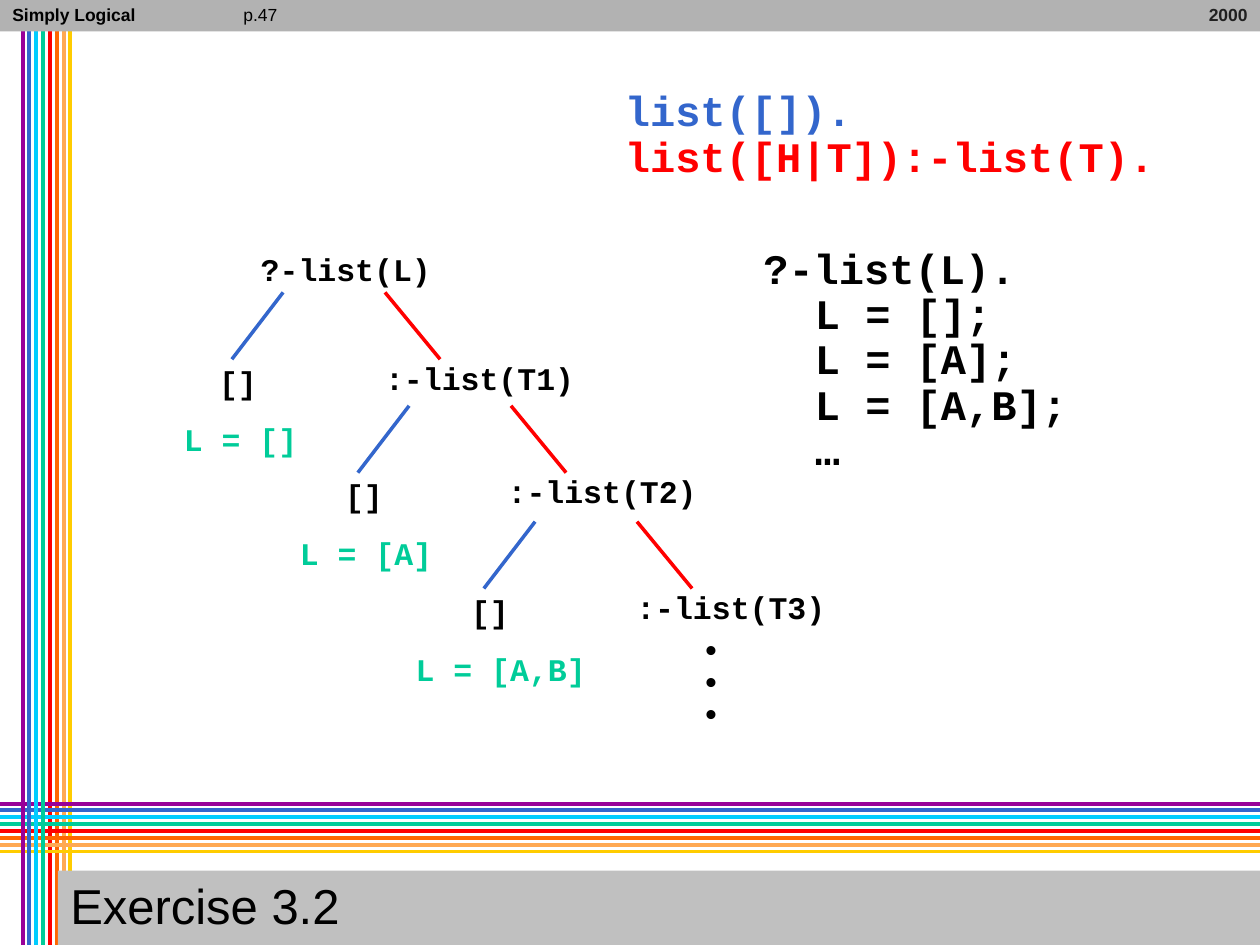
from lxml import etree
from pptx import Presentation
from pptx import util as u
from pptx.dml.color import RGBColor
from pptx.enum import shapes, text
from pptx.oxml.ns import qn

Pt = u.Pt
BLACK = RGBColor(0x00, 0x00, 0x00)
DARK = RGBColor(0x20, 0x20, 0x20)
GREY = RGBColor(0xB2, 0xB2, 0xB2)
SILVER = RGBColor(0xC0, 0xC0, 0xC0)
BLUE = RGBColor(0x33, 0x66, 0xCC)
GREEN = RGBColor(0x00, 0xCC, 0x99)
RED = RGBColor(0xFF, 0x00, 0x00)
BANDS = [RGBColor(0x99, 0x00, 0x99), BLUE, RGBColor(0x00, 0xCC, 0xFF), GREEN,
         RED, RGBColor(0xFF, 0x66, 0x00), RGBColor(0xFF, 0xA9, 0x53),
         RGBColor(0xFF, 0xCC, 0x00)]
GAP = 3.91

SMALL = {"name": "Arial", "size": Pt(10), "bold": False}
HEAD = SMALL | {"bold": True}
TITLE = SMALL | {"size": Pt(28)}
NODE = {"name": "Courier New", "size": Pt(18), "bold": True}
CODE = NODE | {"size": Pt(24)}


def write(frame, lines, style, align=text.PP_ALIGN.LEFT, hang=0):
    """Fill a text frame with (words, colour) paragraphs."""
    for i, (words, color) in enumerate(lines):
        para = frame.add_paragraph() if i else frame.paragraphs[0]
        para.text = words
        para.alignment = align
        para.line_spacing = 0.9
        if hang:
            props = para._p.get_or_add_pPr()
            props.set("marL", str(Pt(hang)))
            props.set("indent", str(Pt(-hang)))
        for run in para.runs:
            for key, value in style.items():
                setattr(run.font, key, value)
            run.font.color.rgb = color


def label(slide, box, lines, style, wrap=True, **more):
    frame = slide.shapes.add_textbox(*map(Pt, box)).text_frame
    frame.word_wrap = wrap
    write(frame, lines, style, **more)


def node(slide, x, y, words, color=BLACK):
    """Place a one-line tree label, sized by its character count."""
    box = (x, y, 10.8 * len(words) + 14.4, 26.6)
    label(slide, box, [(words, color)], NODE, wrap=False)


def line(slide, ends, color, width):
    link = slide.shapes.add_connector(shapes.MSO_CONNECTOR.STRAIGHT,
                                      *map(Pt, ends))
    link.line.color.rgb = color
    link.line.width = Pt(width)
    etree.SubElement(link._element.spPr, qn("a:effectLst"))


def bar(slide, box, color):
    rect = slide.shapes.add_shape(shapes.MSO_SHAPE.RECTANGLE, *map(Pt, box))
    rect.shadow.inherit = False
    rect.fill.solid()
    rect.fill.fore_color.rgb = color
    rect.line.fill.background()
    return rect


def weave(slide, box):
    """Cross the bands: half the uprights lie below the rows, half above."""
    left, top, wide, high = box

    def posts(part):
        for i in part:
            x = left + i * GAP
            line(slide, (x, 0, x, high), BANDS[i], 2.25)

    posts(range(4, 8))
    for i, color in enumerate(BANDS):
        y = top + i * GAP
        line(slide, (wide, y, 0, y), color, 2.25)
    posts(range(4))


def header(slide, box):
    x, y, wide, high = box
    bar(slide, box, GREY)
    label(slide, (x, y, 144, high), [("Simply Logical", BLACK)], HEAD)
    label(slide, (x + 132, y, 54.5, high), [("p.47", BLACK)], SMALL)
    label(slide, (x + wide - 194.4, y, 194.4, high), [("2000", DARK)], HEAD,
          align=text.PP_ALIGN.RIGHT)


def footer(slide, box):
    frame = bar(slide, box, SILVER).text_frame
    frame.word_wrap = True
    frame.vertical_anchor = text.MSO_ANCHOR.MIDDLE
    write(frame, [("Exercise 3.2", BLACK)], TITLE)


def level(slide, box, goal, shift, answer):
    """Draw one split: empty list on the left, next goal on the right."""
    x, y, wide, high = box
    line(slide, (x, y + high, x + 29.3, y), BLUE, 2)
    line(slide, (x + wide, y + high, x + wide - 31.5, y), RED, 2)
    node(slide, x - 14.4, y + 39, "[]")
    node(slide, x + shift, y + 37, goal)
    node(slide, *answer, GREEN)


def tree(slide, box):
    x, y = box[:2]
    node(slide, x, y, "?-list(L)")
    # Each level steps right and down
    rows = [(25.2, 80.5, "L = []"), (90, 78.5, "L = [A]"),
            (156.2, 80, "L = [A,B]")]
    for i, (drop, shift, found) in enumerate(rows):
        split = (x - 9.4 + 72 * i, y + drop, 119, 38.2)
        spot = (split[0] - 34.5 - 5.8 * i, split[1] + 72, found)
        level(slide, split, f":-list(T{i + 1})", shift, spot)
    # The search goes on without end
    for i in range(3):
        node(slide, x + 252, y + 216.9 + 18.3 * i, "•")


def code(slide, box, lines):
    label(slide, box, lines, CODE, hang=29.5)


def main():
    deck = Presentation()
    deck.slide_width, deck.slide_height = Pt(720), Pt(540)
    slide = deck.slides.add_slide(deck.slide_layouts[6])
    weave(slide, (12.9, 459.2, 720, 540))
    header(slide, (0, 0, 720, 18))
    footer(slide, (33.1, 497.5, 686.9, 43))
    tree(slide, (141.9, 141.9, 336, 281))
    # Program and its answers
    code(slide, (350, 48.2, 376.6, 59),
         [("list([]).", BLUE), ("list([H|T]):-list(T).", RED)])
    code(slide, (429.1, 138.2, 218.2, 136.8),
         [("?-list(L).\vL = [];\vL = [A];\vL = [A,B];\v…", BLACK)])
    deck.save("out.pptx")


if __name__ == "__main__":
    main()
